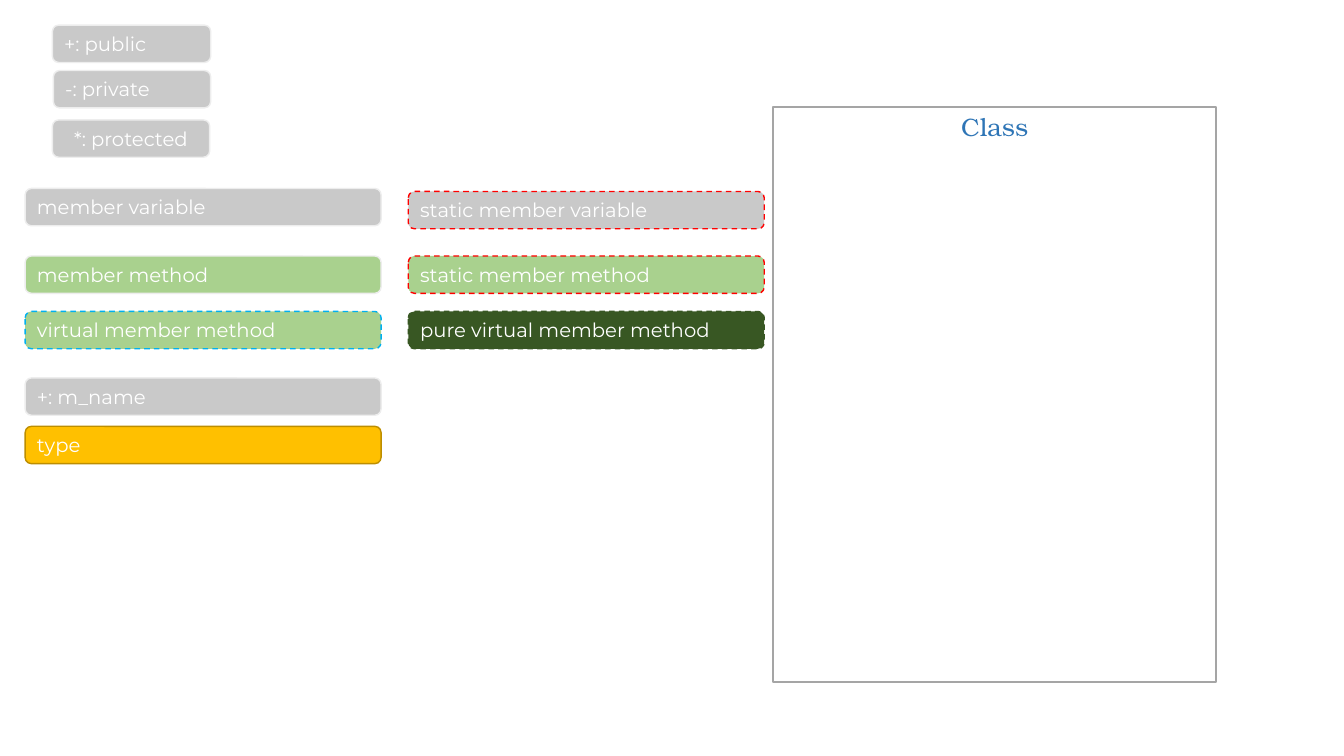
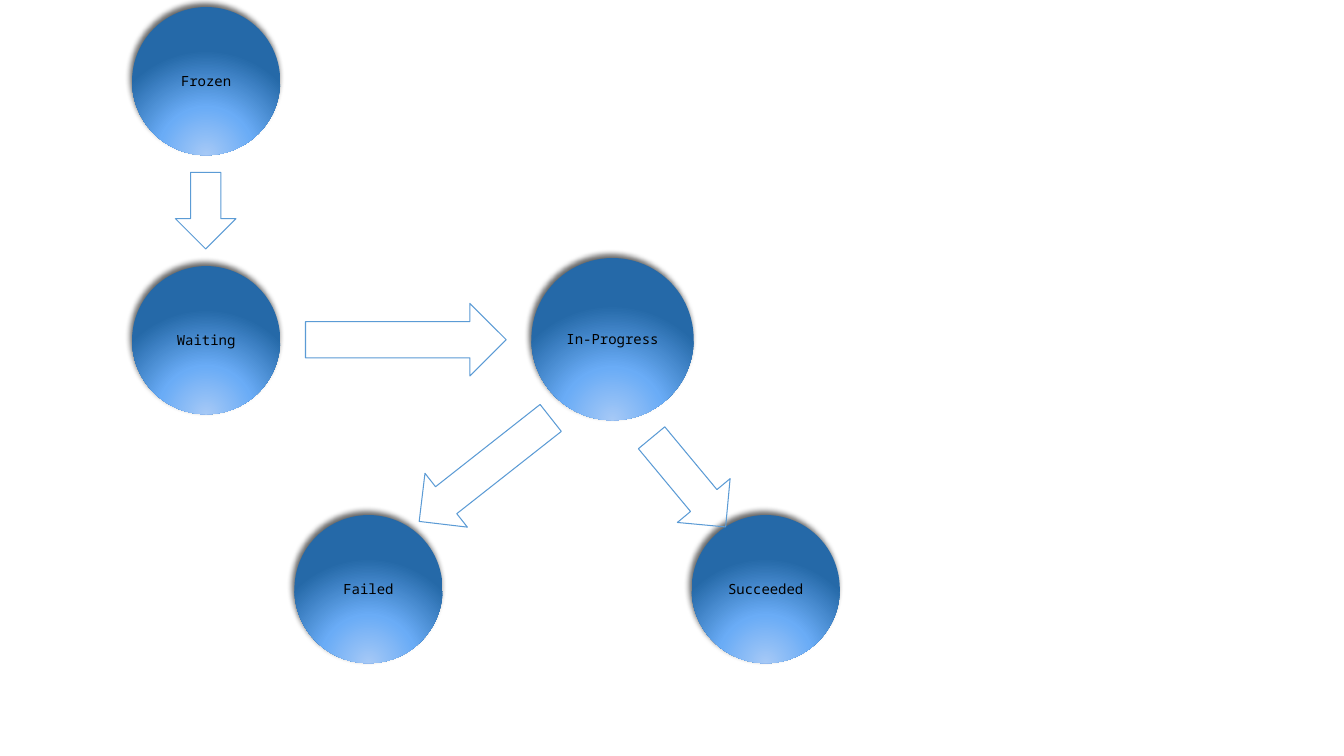
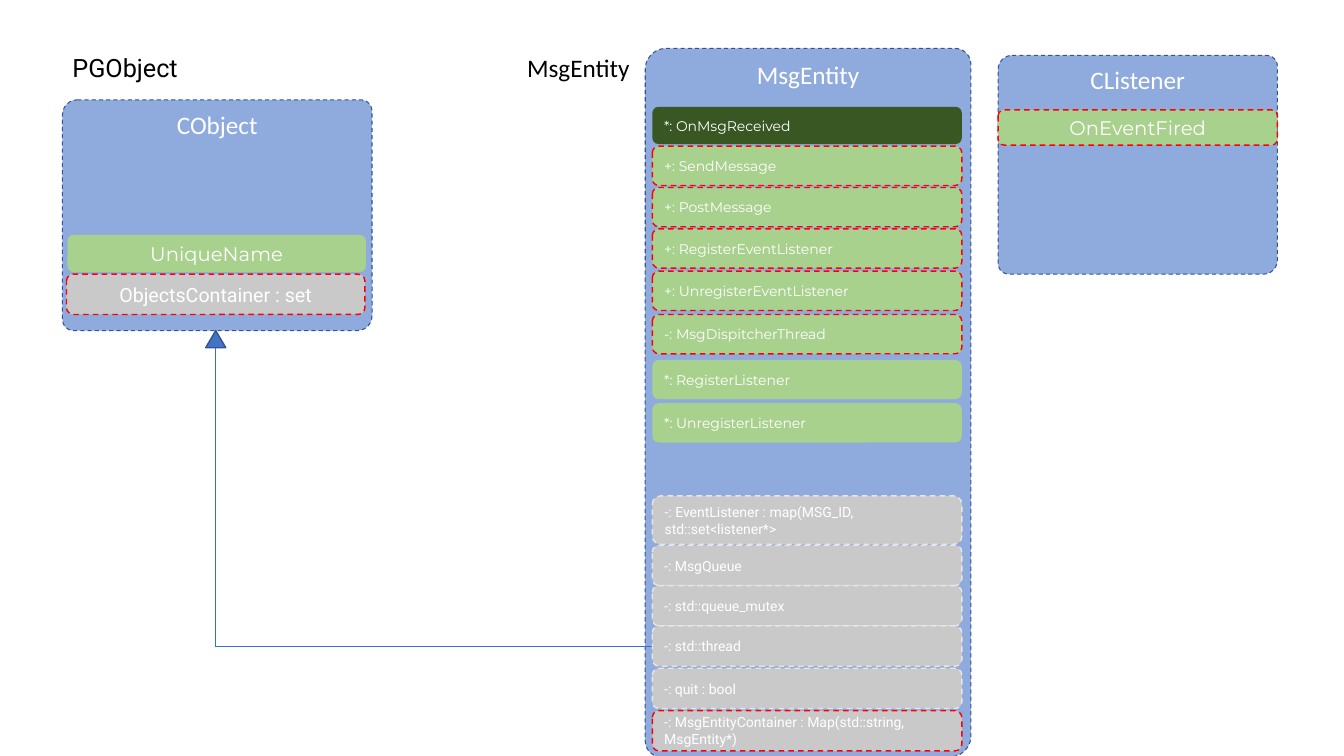
from pptx import Presentation
from pptx.dml.color import RGBColor
from pptx.enum.dml import MSO_LINE
from pptx.enum.shapes import MSO_CONNECTOR, MSO_SHAPE
from pptx.enum.text import MSO_ANCHOR, MSO_AUTO_SIZE, PP_ALIGN
from pptx.oxml import parse_xml
from pptx.oxml.ns import nsdecls, qn
from pptx.util import Inches, Pt

RECT, ROUNDED, DIAGONAL = (MSO_SHAPE.RECTANGLE, MSO_SHAPE.ROUNDED_RECTANGLE,
                           MSO_SHAPE.ROUND_2_DIAG_RECTANGLE)
OVAL, TRIANGLE = MSO_SHAPE.OVAL, MSO_SHAPE.ISOSCELES_TRIANGLE
DOWN, RIGHT = MSO_SHAPE.DOWN_ARROW, MSO_SHAPE.RIGHT_ARROW
ELBOW = MSO_CONNECTOR.ELBOW
LEFT, CENTER = PP_ALIGN.LEFT, PP_ALIGN.CENTER
TOP, MIDDLE = MSO_ANCHOR.TOP, MSO_ANCHOR.MIDDLE
DASH = MSO_LINE.DASH
FIT = MSO_AUTO_SIZE.SHAPE_TO_FIT_TEXT

WHITE, BLACK = "FFFFFF", "000000"
GREY, GREEN, DARK_GREEN, RED = "C9C9C9", "A9D18E", "385723", "FF0000"
NAVY = "325491"
HEAD_FONT, METHOD_FONT, VARIABLE_FONT = "Calibri", "Montserrat", "Roboto"

# Member kinds: fill, line colour, dashed
MEMBERS = {
    "variable": (GREY, "EDEDED", False),
    "hidden variable": (GREY, "E7E6E6", True),
    "static variable": (GREY, RED, True),
    "method": (GREEN, "EDEDED", False),
    "plain method": (GREEN, None, False),
    "static method": (GREEN, RED, True),
    "virtual method": (GREEN, "00B0F0", True),
    "pure method": (DARK_GREEN, DARK_GREEN, True),
    "plain pure method": (DARK_GREEN, None, False),
    "type": ("FFC000", "BD8E00", False),
}

STATE_FILL = f"""<a:gradFill {nsdecls('a')} rotWithShape="1"><a:gsLst>
<a:gs pos="0"><a:srgbClr val="A6C9F6"/></a:gs>
<a:gs pos="46000"><a:srgbClr val="6AACF6"/></a:gs>
<a:gs pos="100000"><a:srgbClr val="2569A8"/></a:gs></a:gsLst>
<a:path path="circle"><a:fillToRect l="50000" t="155000" r="50000" b="-55000"/></a:path>
</a:gradFill>"""
STATE_SHADOW = f"""<a:outerShdw {nsdecls('a')} blurRad="{Pt(4.2)}" dist="{Pt(3.2)}"
dir="{245 * 60000}" algn="ctr" rotWithShape="0">
<a:srgbClr val="{BLACK}"><a:alpha val="60000"/></a:srgbClr></a:outerShdw>"""


def color(value):
    return RGBColor.from_string(value)


def write(box, text, size=14, font=METHOD_FONT, ink=WHITE, align=LEFT,
          anchor=MIDDLE, wrap=True):
    frame = box.text_frame
    frame.word_wrap = wrap
    frame.vertical_anchor = anchor
    para = frame.paragraphs[0]
    para.alignment = align
    span = para.add_run()
    span.text = text
    span.font.size = Pt(size)
    span.font.name = font
    span.font.color.rgb = color(ink)


class Diagram:
    def __init__(self):
        self.deck = Presentation()
        self.deck.slide_width, self.deck.slide_height = Inches(13.33), Inches(7.5)
        self.page = None

    def new_page(self):
        self.page = self.deck.slides.add_slide(self.deck.slide_layouts[6])

    def shape(self, kind, at, fill=None, line=None, width=1, dashed=False):
        box = self.page.shapes.add_shape(kind, *map(Inches, at))
        box.shadow.inherit = False
        if fill:
            box.fill.solid()
            box.fill.fore_color.rgb = color(fill)
        else:
            box.fill.background()
        if line:
            box.line.color.rgb = color(line)
            box.line.width = Pt(width)
            if dashed:
                box.line.dash_style = DASH
        else:
            box.line.fill.background()
        return box

    def member(self, kind, text, at, **style):
        fill, line, dashed = MEMBERS[kind]
        box = self.shape(ROUNDED, at, fill, line, dashed=dashed)
        write(box, text, **style)
        return box

    def class_box(self, name, at):
        box = self.shape(DIAGONAL, at, "8FAADC", NAVY, 0.75, True)
        box.adjustments[0], box.adjustments[1] = 0.064, 0.049
        write(box, name, size=18, font=HEAD_FONT, align=CENTER, anchor=TOP)

    def label(self, text, at, font):
        box = self.page.shapes.add_textbox(*map(Inches, at))
        write(box, text, size=18, font=font, ink=BLACK, anchor=TOP, wrap=False)
        box.text_frame.auto_size = FIT

    def state(self, name, left, top, size=1.47):
        circle = self.shape(OVAL, (left, top, size, size))
        properties = circle._element.spPr
        properties.replace(properties.find(qn("a:noFill")), parse_xml(STATE_FILL))
        properties.find(qn("a:effectLst")).append(parse_xml(STATE_SHADOW))
        write(circle, name, size=10, font="Noto Sans Mono", ink=BLACK,
              align=CENTER, wrap=False)

    def arrow(self, kind, at, turn=0):
        self.shape(kind, at, line="5B9BD5", width=0.75).rotation = turn

    def inheritance(self, child, head):
        """Run from the child's left side to the foot of the arrowhead."""
        foot_x, foot_y = head.left + head.width // 2, head.top + head.height
        link = self.page.shapes.add_connector(
            ELBOW, child.left, child.top + child.height // 2, foot_x, foot_y)
        link.begin_connect(child, 1)
        link.end_connect(head, 3)
        link.end_x, link.end_y = foot_x, foot_y
        link.line.color.rgb = color("376ED1")
        link.line.width = Pt(0.75)
        properties = link._element.spPr
        properties.find(qn("a:prstGeom")).set("prst", "bentConnector2")
        properties.append(parse_xml(f"<a:effectLst {nsdecls('a')}/>"))


def build_legend(diagram):
    diagram.new_page()
    # Access marks
    for text, left, top, width, align in [
            ("+: public", 0.52, 0.25, 1.57, LEFT),
            ("-: private", 0.53, 0.7, 1.56, LEFT),
            ("*: protected", 0.52, 1.19, 1.56, CENTER)]:
        diagram.member("variable", text, (left, top, width, 0.37), align=align)
    # Member kinds in two columns
    first, second = 0.25, 4.05
    for kind, text, left, top in [
            ("variable", "member variable", first, 1.87),
            ("method", "member method", first, 2.54),
            ("virtual method", "virtual member method", first, 3.09),
            ("variable", "+: m_name", first, 3.75),
            ("type", "type", first, 4.23),
            ("static variable", "static member variable", second, 1.9),
            ("static method", "static member method", second, 2.54),
            ("pure method", "pure virtual member method", second, 3.09)]:
        diagram.member(kind, text, (left, top, 3.53, 0.37))
    # Empty class frame
    frame = diagram.shape(RECT, (7.67, 1.06, 4.39, 5.71), line="A5A5A5", width=1.25)
    write(frame, "Class", size=18, font="TeX Gyre Bonum", ink="2E75B6",
          align=CENTER, anchor=TOP)


def build_states(diagram):
    diagram.new_page()
    diagram.state("Frozen", 1.31, 0.07)
    diagram.state("Waiting", 1.31, 2.64)
    diagram.state("In-Progress", 5.27, 2.56, 1.61)
    diagram.state("Failed", 2.92, 5.11)
    diagram.state("Succeeded", 6.86, 5.11)
    # Transitions
    diagram.arrow(DOWN, (1.74, 1.71, 0.6, 0.76))
    diagram.arrow(RIGHT, (3.03, 3.01, 1.99, 0.72))
    diagram.arrow(DOWN, (4.47, 3.83, 0.68, 1.66), 51.8)
    diagram.arrow(DOWN, (6.49, 4.21, 0.68, 1.15), 320.3)


def build_classes(diagram):
    diagram.new_page()
    diagram.label("PGObject", (0.62, 0.47, 1.46, 0.4), VARIABLE_FONT)
    diagram.label("MsgEntity", (5.13, 0.47, 1.27, 0.4), HEAD_FONT)
    # Base class
    diagram.class_box("CObject", (0.62, 0.99, 3.07, 2.29))
    diagram.member("plain method", "UniqueName", (0.67, 2.33, 2.96, 0.37), align=CENTER)
    diagram.member("static variable", "ObjectsContainer : set", (0.66, 2.72, 2.96, 0.4),
                   font=VARIABLE_FONT, align=CENTER)
    # Message class
    diagram.class_box("MsgEntity", (6.4, 0.48, 3.23, 7.03))
    rows = {}
    for kind, text, top, height in [
            ("plain pure method", "*: OnMsgReceived", 1.06, 0.37),
            ("static method", "+: SendMessage", 1.45, 0.39),
            ("static method", "+: PostMessage", 1.86, 0.39),
            ("static method", "+: RegisterEventListener", 2.27, 0.39),
            ("static method", "+: UnregisterEventListener", 2.69, 0.39),
            ("static method", "-: MsgDispitcherThread", 3.12, 0.39),
            ("plain method", "*: RegisterListener", 3.57, 0.39),
            ("plain method", "*: UnregisterListener", 4, 0.39),
            ("hidden variable", "-: EventListener : map(MSG_ID, std::set<listener*>", 4.92, 0.48),
            ("hidden variable", "-: MsgQueue", 5.41, 0.4),
            ("hidden variable", "-: std::queue_mutex", 5.81, 0.4),
            ("hidden variable", "-: std::thread", 6.21, 0.4),
            ("hidden variable", "-: quit : bool", 6.63, 0.4),
            ("static variable", "-: MsgEntityContainer : Map(std::string, MsgEntity*)", 7.05, 0.4)]:
        font = METHOD_FONT if kind.endswith("method") else VARIABLE_FONT
        rows[text] = diagram.member(kind, text, (6.47, top, 3.07, height),
                                    size=10, font=font)
    # Listener class
    diagram.class_box("CListener", (9.9, 0.55, 2.77, 2.17))
    diagram.member("static method", "OnEventFired", (9.9, 1.09, 2.77, 0.35), align=CENTER)
    # Inheritance link
    head = diagram.shape(TRIANGLE, (2.04, 3.28, 0.2, 0.17), "4472C4", NAVY)
    diagram.inheritance(rows["-: std::thread"], head)


def main():
    diagram = Diagram()
    build_legend(diagram)
    build_states(diagram)
    build_classes(diagram)
    diagram.deck.save("out.pptx")


if __name__ == "__main__":
    main()
